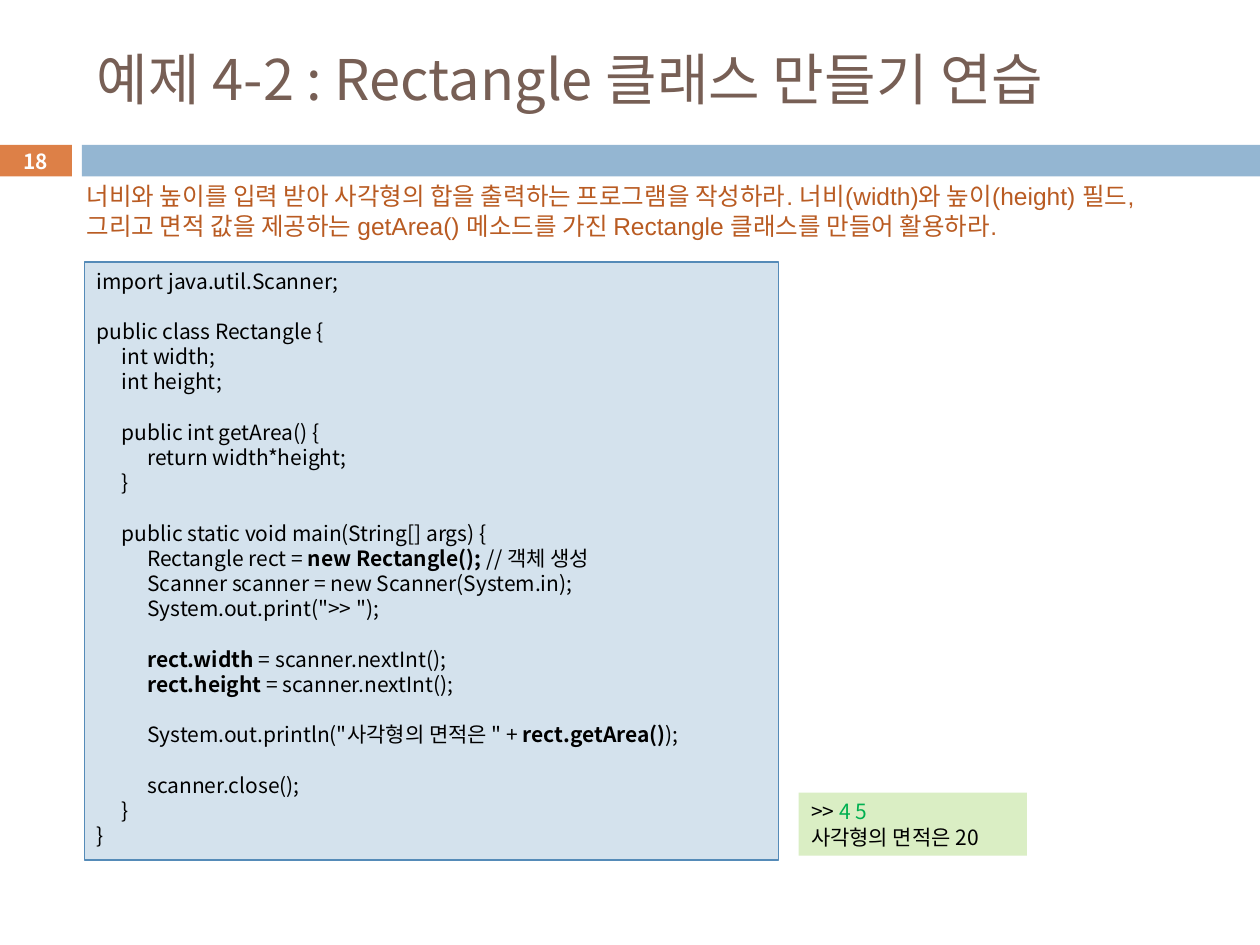
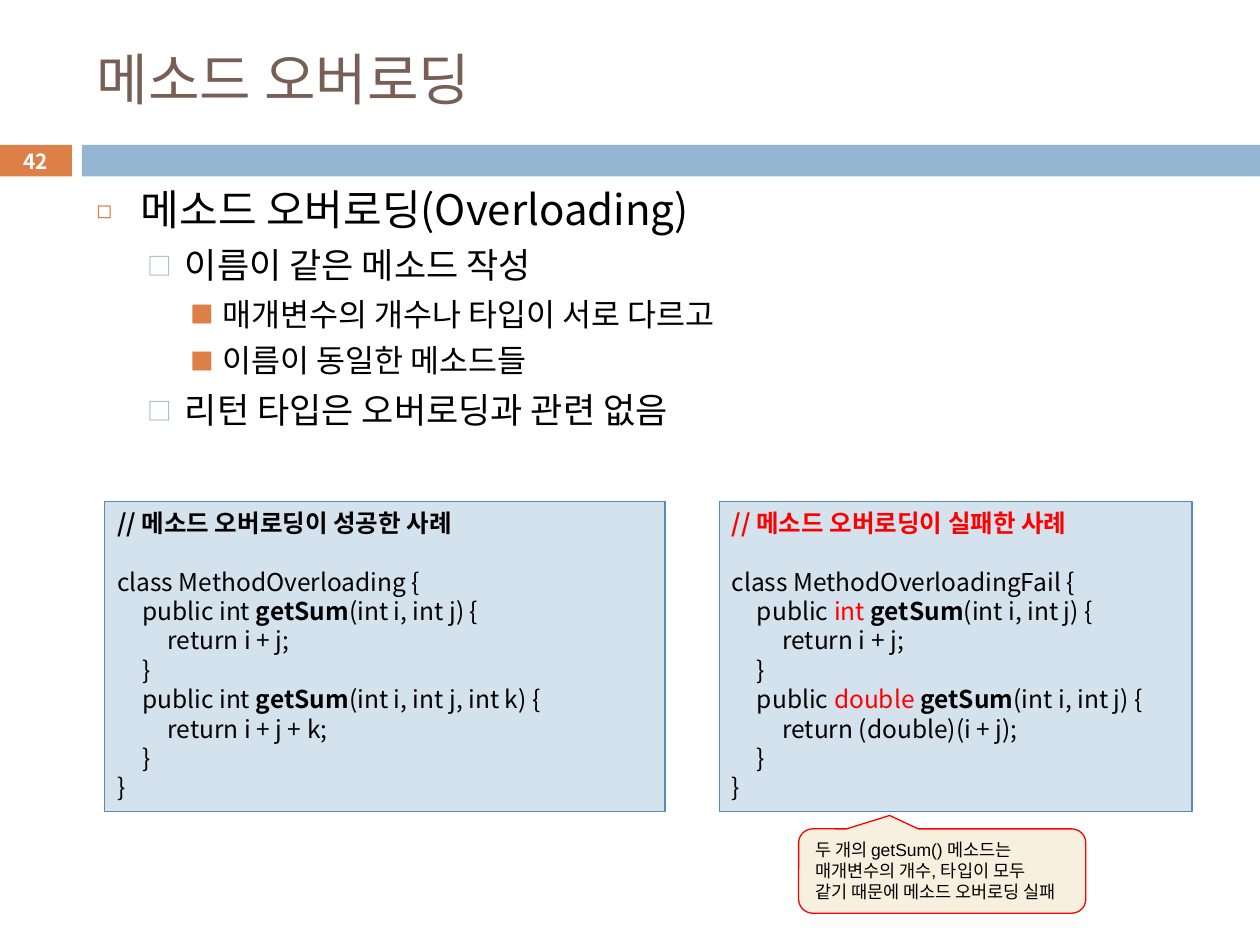
from lxml.etree import SubElement
from pptx import Presentation
from pptx.dml.color import RGBColor
from pptx.enum.shapes import MSO_SHAPE as Shape
from pptx.enum.text import MSO_ANCHOR as Anchor, PP_ALIGN as Align
from pptx.oxml.ns import qn
from pptx.util import Cm, Pt

ORANGE = RGBColor(0xDD, 0x80, 0x47)
BLUE = RGBColor(0x94, 0xB6, 0xD2)
BROWN = RGBColor(0x77, 0x5F, 0x55)
RUST = RGBColor(0xB9, 0x5B, 0x22)
PALE = RGBColor(0xD4, 0xE2, 0xED)
EDGE = RGBColor(0x55, 0x8B, 0xB8)
LIME = RGBColor(0xDA, 0xEE, 0xC4)
GREEN = RGBColor(0x00, 0xB0, 0x50)
CREAM = RGBColor(0xF7, 0xF0, 0xDE)
RED = RGBColor(0xFF, 0x00, 0x00)
BLACK = RGBColor(0x00, 0x00, 0x00)
WHITE = RGBColor(0xFF, 0xFF, 0xFF)

SANS = "Noto Sans CJK KR"
ARIAL = "Arial"
LEAD = 1.2  # line height over text size
TAB = 0.51  # code indent in cm

# Bullet levels: sign, colour, percent, left, hang, size, space before
LEVELS = [
    ("◻", ORANGE, 60, 0.89, 0.89, 24, 7),
    ("□", BLUE, 70, 1.78, 0.76, 20, 5.5),
    ("■", ORANGE, 75, 2.54, 0.64, 18, 5),
]


# Runs are (text, colour, bold)
def bold(text, color=BLACK):
    return text, color, True


def tint(text, color):
    return text, color, False


def add_run(para, part, size, font=SANS, color=BLACK):
    text, hue, heavy = part if isinstance(part, tuple) else (part, color, False)
    run = para.add_run()
    run.text = text
    run.font.size, run.font.bold, run.font.name = Pt(size), heavy, font
    run.font.color.rgb = hue
    SubElement(run._r.get_or_add_rPr(), qn("a:ea"), typeface=SANS)


def next_para(frame, first, size):
    para = frame.paragraphs[0] if first else frame.add_paragraph()
    para.alignment = Align.LEFT
    para.line_spacing = Pt(size * LEAD)
    return para


def add_box(slide, box, fill, line=None, kind=Shape.RECTANGLE):
    shape = slide.shapes.add_shape(kind, *map(Cm, box))
    shape.shadow.inherit = False
    shape.fill.solid()
    shape.fill.fore_color.rgb = fill
    if line is None:
        shape.line.fill.background()
    else:
        shape.line.color.rgb = line
        shape.line.width = Pt(0.75)
    shape.text_frame.word_wrap = True
    shape.text_frame.vertical_anchor = Anchor.TOP
    return shape


def add_note(slide, box):
    frame = slide.shapes.add_textbox(*map(Cm, box)).text_frame
    frame.word_wrap = True
    return frame


# Title, number tab and band shared by all slides
def add_page(deck, title, number):
    slide = deck.slides.add_slide(deck.slide_layouts[5])
    tab = add_box(slide, (0, 2.92, 1.45, 0.64), ORANGE).text_frame
    tab.vertical_anchor = Anchor.MIDDLE
    tab.margin_top = tab.margin_bottom = 0
    tab.paragraphs[0].alignment = Align.CENTER
    add_run(tab.paragraphs[0], bold(number, WHITE), 11.9)
    add_box(slide, (1.65, 2.92, 23.75, 0.64), BLUE)

    head = slide.shapes.title
    head.left, head.top, head.width, head.height = map(Cm, (1.7, 0.64, 22.66, 1.88))
    frame = head.text_frame
    frame.word_wrap = True
    frame.vertical_anchor = Anchor.MIDDLE
    frame.paragraphs[0].alignment = Align.LEFT
    add_run(frame.paragraphs[0], title, 32, color=BROWN)
    return slide


# Code panel: each block is a list of lines, one line of space between blocks
def add_code(slide, box, blocks, size, fill=PALE, line=EDGE):
    frame = add_box(slide, box, fill, line).text_frame
    first = True
    for block in blocks:
        for row, parts in enumerate(block):
            para = next_para(frame, first, size)
            if row == 0 and not first:
                para.space_before = Pt(size * LEAD)
            first = False
            stops = SubElement(para._p.get_or_add_pPr(), qn("a:tabLst"))
            for step in (1, 2):
                SubElement(stops, qn("a:tab"), pos=str(Cm(TAB * step)), algn="l")
            for part in parts if isinstance(parts, list) else [parts]:
                add_run(para, part, size)


# Bulleted outline of (level, text)
def add_list(slide, box, items):
    frame = add_note(slide, box)
    for i, (level, text) in enumerate(items):
        sign, color, scale, left, hang, size, gap = LEVELS[level]
        para = next_para(frame, i == 0, size)
        para.level = level
        if i:
            para.space_before = Pt(gap)
        props = para._p.get_or_add_pPr()
        props.set("marL", str(Cm(left)))
        props.set("indent", str(-Cm(hang)))
        SubElement(SubElement(props, qn("a:buClr")), qn("a:srgbClr"), val=str(color))
        SubElement(props, qn("a:buSzPct"), val=str(scale * 1000))
        SubElement(props, qn("a:buFont"), typeface=SANS)
        SubElement(props, qn("a:buChar"), char=sign)
        add_run(para, text, size, ARIAL if level == 2 else SANS)


# Speech bubble with set line breaks
def add_bubble(slide, box, lines):
    shape = add_box(slide, box, CREAM, RED, Shape.ROUNDED_RECTANGULAR_CALLOUT)
    for i, value in enumerate((-0.183, -0.659, 0.167)):
        shape.adjustments[i] = value
    shape.text_frame.margin_right = 0
    para = next_para(shape.text_frame, True, 10)
    for i, text in enumerate(lines):
        if i:
            para.add_line_break()
        add_run(para, text, 10, ARIAL)


def add_sample(deck):
    slide = add_page(deck, "예제 4-2 : Rectangle 클래스 만들기 연습", "18")
    para = next_para(add_note(slide, (1.5, 3.53, 22.81, 1.45)), True, 14)
    add_run(para, "너비와 높이를 입력 받아 사각형의 합을 출력하는 프로그램을 작성하라. "
            "너비(width)와 높이(height) 필드, 그리고 면적 값을 제공하는 getArea() "
            "메소드를 가진 Rectangle 클래스를 만들어 활용하라.", 14, ARIAL, RUST)
    add_code(slide, (1.7, 5.28, 14, 12.06), [
        ["import java.util.Scanner;"],
        ["public class Rectangle {", "\tint width;", "\tint height;"],
        ["\tpublic int getArea() {", "\t\treturn width*height;", "\t}"],
        ["\tpublic static void main(String[] args) {",
         ["\t\tRectangle rect = ", bold("new Rectangle();"), " // 객체 생성"],
         "\t\tScanner scanner = new Scanner(System.in);",
         "\t\tSystem.out.print(\">> \");"],
        [["\t\t", bold("rect.width"), " = scanner.nextInt();"],
         ["\t\t", bold("rect.height"), " = scanner.nextInt();"]],
        [["\t\tSystem.out.println(\"사각형의 면적은 \" + ",
          bold("rect.getArea()"), ");"]],
        ["\t\tscanner.close();", "\t}", "}"],
    ], 12)
    # Program output
    add_code(slide, (16.1, 15.98, 4.6, 1.27),
             [[[">> ", tint("4 5", GREEN)], "사각형의 면적은 20"]], 12, LIME, None)


def add_topic(deck):
    slide = add_page(deck, "메소드 오버로딩", "42")
    add_list(slide, (1.7, 3.58, 22.66, 6.55), [
        (0, "메소드 오버로딩(Overloading)"),
        (1, "이름이 같은 메소드 작성"),
        (2, "매개변수의 개수나 타입이 서로 다르고"),
        (2, "이름이 동일한 메소드들"),
        (1, "리턴 타입은 오버로딩과 관련 없음"),
    ])
    name = bold("getSum")
    add_code(slide, (2.11, 10.11, 11.3, 6.25), [
        [bold("// 메소드 오버로딩이 성공한 사례")],
        ["class MethodOverloading {",
         ["\tpublic int ", name, "(int i, int j) {"],
         "\t\treturn i + j;", "\t}",
         ["\tpublic int ", name, "(int i, int j, int k) {"],
         "\t\treturn i + j + k;", "\t}", "}"],
    ], 14)
    add_code(slide, (14.5, 10.11, 9.53, 6.25), [
        [bold("// 메소드 오버로딩이 실패한 사례", RED)],
        ["class MethodOverloadingFail {",
         ["\tpublic ", tint("int ", RED), name, "(int i, int j) {"],
         "\t\treturn i + j;", "\t}",
         ["\tpublic ", tint("double ", RED), name, "(int i, int j) {"],
         "\t\treturn (double)(i + j);", "\t}", "}"],
    ], 14)
    add_bubble(slide, (16.1, 16.71, 5.79, 1.7), [
        "두 개의 getSum() 메소드는",
        "매개변수의 개수, 타입이 모두",
        "같기 때문에 메소드 오버로딩 실패",
    ])


def main():
    deck = Presentation()
    deck.slide_width, deck.slide_height = Cm(25.4), Cm(19.05)
    add_sample(deck)
    add_topic(deck)
    deck.save("out.pptx")


if __name__ == "__main__":
    main()
